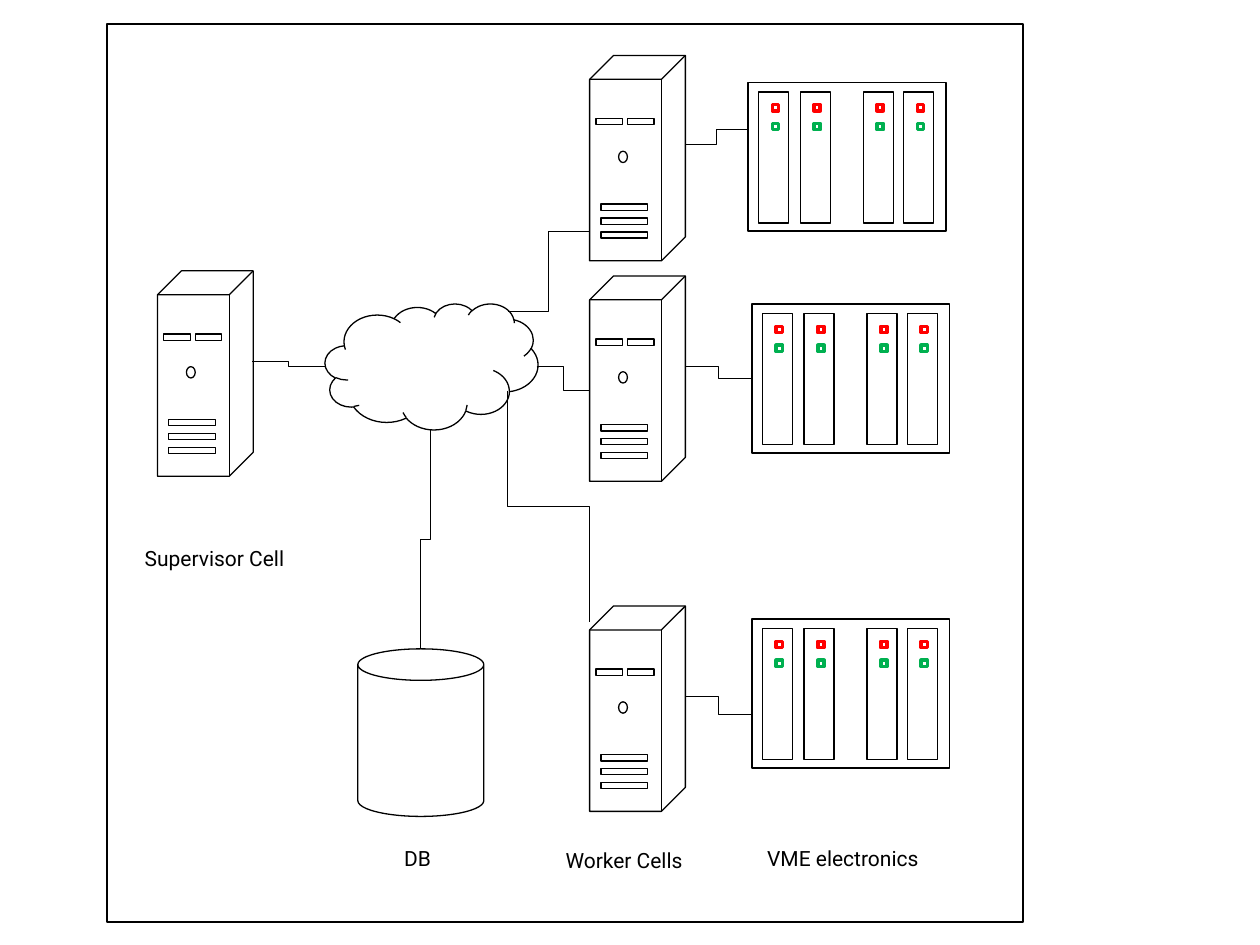
"""Build a slide of a control network: supervisor, workers, database and crates."""
from lxml import etree
from pptx import Presentation
from pptx.dml.color import RGBColor
from pptx.enum.shapes import MSO_CONNECTOR, MSO_SHAPE
from pptx.enum.text import MSO_AUTO_SIZE
from pptx.oxml.ns import qn
from pptx.util import Inches, Pt

RECT = MSO_SHAPE.RECTANGLE
OVAL = MSO_SHAPE.OVAL
CUBE = MSO_SHAPE.CUBE
CLOUD = MSO_SHAPE.CLOUD
CAN = MSO_SHAPE.CAN
ELBOW = MSO_CONNECTOR.ELBOW
FIT = MSO_AUTO_SIZE.SHAPE_TO_FIT_TEXT
BLACK, WHITE, RED, GREEN = "000000", "FFFFFF", "FF0000", "00B050"
color = RGBColor.from_string


def draw(home, kind, x, y, w, h, line=BLACK, width=0.75, fill=None, turn=0):
    shape = home.add_shape(kind, Inches(x), Inches(y), Inches(w), Inches(h))
    shape.shadow.inherit = False
    shape.rotation = turn
    if fill:
        shape.fill.solid()
        shape.fill.fore_color.rgb = color(fill)
    else:
        shape.fill.background()
    shape.line.color.rgb = color(line)
    shape.line.width = Pt(width)


def write(text, x, y, w, h=0.3, size=12, font="Roboto", ink=BLACK):
    frame = shapes.add_textbox(Inches(x), Inches(y), Inches(w), Inches(h)).text_frame
    frame.word_wrap = False
    frame.auto_size = FIT
    run = frame.paragraphs[0].add_run()
    run.text = text
    run.font.size = Pt(size)
    run.font.name = font
    run.font.color.rgb = color(ink)


deck = Presentation()
deck.slide_width, deck.slide_height = Inches(10), Inches(7.5)
shapes = deck.slides.add_slide(deck.slide_layouts[6]).shapes

for x, y in [(4.68, 0.44), (4.68, 4.81), (1.25, 2.15), (4.68, 2.19)]:
    tower = shapes.add_group_shape().shapes
    draw(tower, CUBE, x, y, 0.76, 1.63)
    for slot in (0.05, 0.3):
        draw(tower, RECT, x + slot, y + 0.5, 0.21, 0.05)
    draw(tower, OVAL, x + 0.23, y + 0.76, 0.07, 0.09)
    for vent in range(3):
        draw(tower, RECT, x + 0.09, y + 1.18 + 0.11 * vent, 0.37, 0.05)

draw(shapes, CLOUD, 2.58, 2.41, 1.69, 1)

for x, y in [(6.13, 0.46), (6.16, 4.72), (6.16, 2.22)]:
    crate = shapes.add_group_shape().shapes
    draw(crate, RECT, x, y, 1.18, 1.57, width=1, fill=WHITE, turn=90)
    for step in (0, 0.33, 0.83, 1.15):
        draw(crate, RECT, x + step - 0.51, y + 0.67, 1.04, 0.24, turn=90)
        for drop, hue in [(0.52, GREEN), (0.37, RED)]:
            draw(crate, RECT, x + step, y + drop, 0.05, 0.05, line=hue, width=2, turn=90)

draw(shapes, CAN, 2.84, 5.15, 1, 1.33)

links = [
    (2, 2.87, 2.58, 2.91, False),
    (4.26, 2.91, 4.68, 3.1, False),
    (4.03, 2.47, 4.68, 1.84, False),
    (4.03, 3.1, 4.68, 4.94, True),
    (3.42, 3.41, 3.34, 5.15, True),
    (5.44, 1.15, 5.94, 1.03, False),
    (5.44, 2.91, 5.96, 3, False),
    (5.44, 5.53, 5.96, 5.67, False),
]
for x1, y1, x2, y2, upright in links:
    if upright:
        midx, midy = (x1 + x2) / 2, (y1 + y2) / 2
        dx, dy = (x2 - x1) / 2, (y2 - y1) / 2
        x1, y1, x2, y2 = midx - dy, midy + dx, midx + dy, midy - dx
    link = shapes.add_connector(ELBOW, Inches(x1), Inches(y1), Inches(x2), Inches(y2))
    link.line.color.rgb = color(BLACK)
    link.line.width = Pt(0.5)
    props = link._element.spPr
    etree.SubElement(props, qn("a:effectLst"))
    if upright:
        props.find(qn("a:xfrm")).set("rot", str(90 * 60000))

write("Supervisor Cell", 1.05, 4.28, 1.39)
write("DB", 3.11, 6.66, 0.44)
write("Worker Cells", 4.39, 6.68, 1.16)
write("VME electronics", 5.99, 6.66, 1.42)
draw(shapes, RECT, 0.85, 0.19, 7.27, 7.13, width=1)

deck.save("out.pptx")
